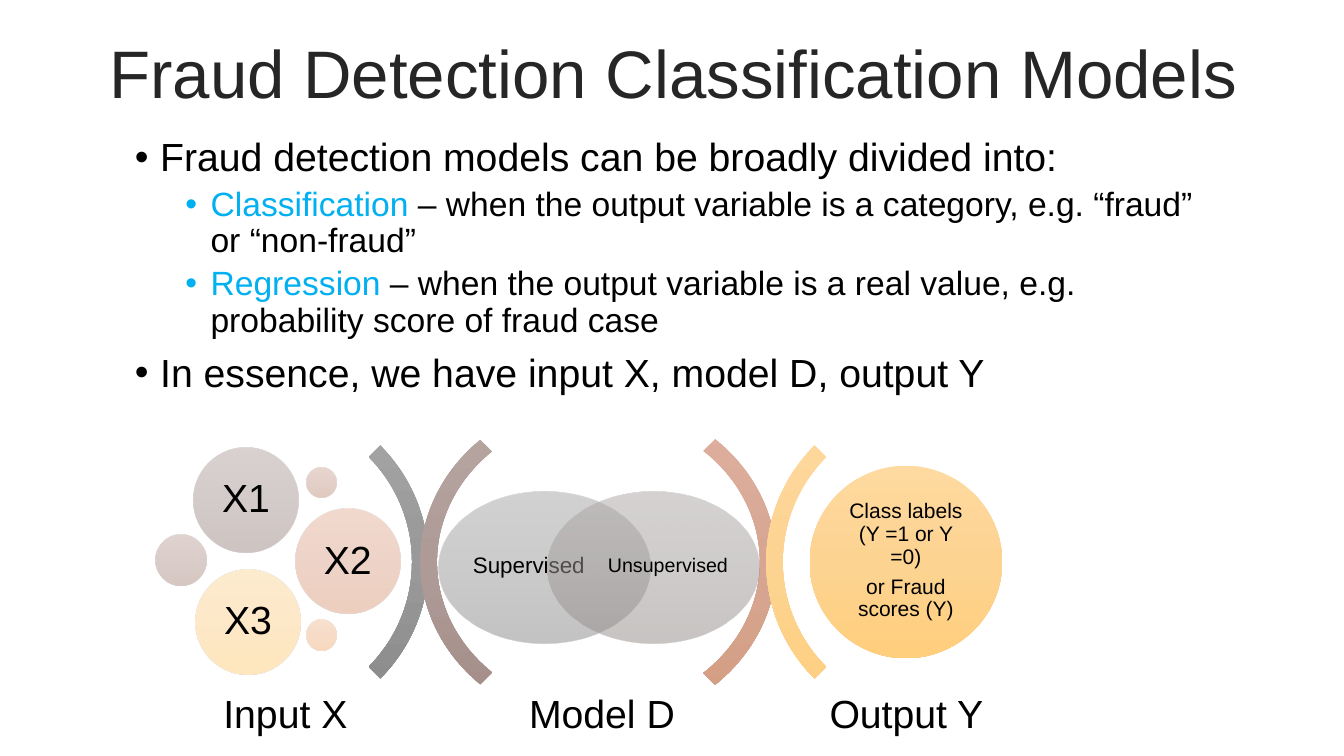
from lxml import etree
from pptx import Presentation
from pptx.dml.color import RGBColor
from pptx.enum import shapes, text
from pptx.oxml import parse_xml
from pptx.oxml.ns import nsdecls, qn
from pptx.util import Inches, Pt

FONT = "Arial"
BLACK = RGBColor(0x00, 0x00, 0x00)
CHARCOAL = RGBColor(0x26, 0x26, 0x26)
SKY = RGBColor(0x00, 0xB0, 0xF0)

TITLE = "Fraud Detection Classification Models"
# level, highlighted term, remaining text
BULLETS = [
    (0, "", "Fraud detection models can be broadly divided into:"),
    (1, "Classification", " – when the output variable is a category, e.g. “fraud” or “non-fraud”"),
    (1, "Regression", " – when the output variable is a real value, e.g. probability score of fraud case"),
    (0, "", "In essence, we have input X, model D, output Y"),
]
# size, indent, space before for each bullet level
LEVELS = [(28, 0.25, 10), (24, 0.75, 5)]

GREY = ("A6A6A6", "999999", "888888")
TAUPE = ("B9A7A4", "AE9B97", "A38B85")
CORAL = ("E0B1A0", "D6A693", "D49C7F")
AMBER = ("FEDAA0", "FDD392", "FFCF7D")

# left, top, width, height, rotation, colours
ARCS = [
    (0.98, 3.94, 3.27, 3.27, 90, GREY),
    (4.34, 3.77, 3.27, 3.61, 270, TAUPE),
    (4.24, 3.75, 3.27, 3.65, 90, CORAL),
    (7.6, 3.94, 3.27, 3.27, 270, AMBER),
]
# ellipse left, label left, label, size, colours
MODEL_KINDS = [
    (4.35, 4.64, "Supervised", 16, GREY),
    (5.43, 6.02, "Unsupervised", 14, ("ACA6A5", "A09A99", "918A87")),
]
# left, top, diameter, label, colours
BUBBLES = [
    (1.92, 4.44, 1.04, "X1", ("B6A6A4", "AA9A98", "9E8A85")),
    (1.54, 5.3, 0.51, "", ("C2A9A3", "B79D96", "AF8F83")),
    (3.04, 4.64, 0.3, "", ("D3AEA1", "C8A294", "C49680")),
    (2.93, 5.05, 1.04, "X2", ("E7B59F", "DDA992", "DDA07E")),
    (3.04, 6.15, 0.3, "", ("F3C49F", "F0BB91", "F3B57D")),
    (1.94, 5.65, 1.04, "X3", AMBER),
]
OUTPUT = "Class labels (Y =1 or Y =0)\nor Fraud scores (Y)"
CAPTIONS = [(1.59, "Input X"), (4.73, "Model D"), (7.75, "Output Y")]

deck = Presentation()
deck.slide_width, deck.slide_height = Inches(13.33), Inches(7.5)
page = deck.slides.add_slide(deck.slide_layouts[6])


def style(span, size, color=BLACK):
    span.font.name = FONT
    span.font.size = Pt(size)
    span.font.color.rgb = color


def add_text_frame(left, top, width, height, inset=None):
    box = page.shapes.add_textbox(Inches(left), Inches(top), Inches(width), Inches(height))
    frame = box.text_frame
    frame.word_wrap = True
    if inset is not None:
        frame.margin_left = frame.margin_right = Inches(inset)
        frame.margin_top = frame.margin_bottom = Inches(inset)
    return frame


def add_label(words, left, top, width, height, size, inset=None, color=BLACK):
    frame = add_text_frame(left, top, width, height, inset)
    frame.vertical_anchor = text.MSO_ANCHOR.MIDDLE
    frame.text = words
    for para in frame.paragraphs:
        para.alignment = text.PP_ALIGN.CENTER
        para.line_spacing = 0.9
        para.space_after = Pt(0.35 * size)
        style(para.runs[0], size, color)


def add_gradient_shape(kind, left, top, width, height, colors, opacity=100):
    """Add a borderless shape shaded from top to bottom."""
    shape = page.shapes.add_shape(kind, Inches(left), Inches(top), Inches(width), Inches(height))
    shape.shadow.inherit = False
    shape.line.fill.background()
    stops = "".join(
        f'<a:gs pos="{place * 50000}"><a:srgbClr val="{color}">'
        f'<a:alpha val="{opacity * 1000}"/></a:srgbClr></a:gs>'
        for place, color in enumerate(colors))
    gradient = parse_xml(
        f'<a:gradFill {nsdecls("a")} rotWithShape="0"><a:gsLst>{stops}</a:gsLst>'
        '<a:lin ang="5400000" scaled="0"/></a:gradFill>')
    shape._element.spPr.find(qn("a:prstGeom")).addnext(gradient)
    return shape


def add_bullets():
    frame = add_text_frame(1.24, 1.32, 10.82, 5.44)
    for number, (level, term, words) in enumerate(BULLETS):
        size, indent, before = LEVELS[level]
        para = frame.add_paragraph() if number else frame.paragraphs[0]
        para.level = level
        para.line_spacing = 0.9
        para.space_before = Pt(before if number else 0)
        props = para._p.get_or_add_pPr()
        props.set("marL", str(Inches(indent)))
        props.set("indent", str(Inches(-0.25)))
        etree.SubElement(props, qn("a:buFont")).set("typeface", FONT)
        etree.SubElement(props, qn("a:buChar")).set("char", "•")
        for part, color in ((term, SKY), (words, BLACK)):
            if part:
                span = para.add_run()
                span.text = part
                style(span, size, color)


def add_diagram():
    oval = shapes.MSO_SHAPE.OVAL
    for left, top, width, height, rotation, colors in ARCS:
        arc = add_gradient_shape(shapes.MSO_SHAPE.BLOCK_ARC, left, top, width, height, colors)
        arc.rotation = rotation
        for index, value in enumerate((135, 189, 0.05)):
            arc.adjustments[index] = value
    for left, label_left, label, size, colors in MODEL_KINDS:
        add_gradient_shape(oval, left, 4.88, 2.1, 1.5, colors, 50)
        add_label(label, label_left, 5.05, 1.21, 1.14, size, 0)
    for left, top, diameter, label, colors in BUBBLES:
        add_gradient_shape(oval, left, top, diameter, diameter, colors, 50)
        if label:
            side = diameter - 0.3
            add_label(label, left + 0.15, top + 0.15, side, side, 28, 0.12)
    add_gradient_shape(oval, 8.03, 4.62, 1.91, 1.91, AMBER)
    add_label(OUTPUT, 8.31, 4.89, 1.35, 1.35, 15, 0.06)
    for left, caption in CAPTIONS:
        add_label(caption, left, 6.78, 2.48, 0.65, 28, 0.12)


add_label(TITLE, 0.35, 0.37, 12.66, 0.79, 48, color=CHARCOAL)
add_bullets()
add_diagram()
deck.save("out.pptx")
